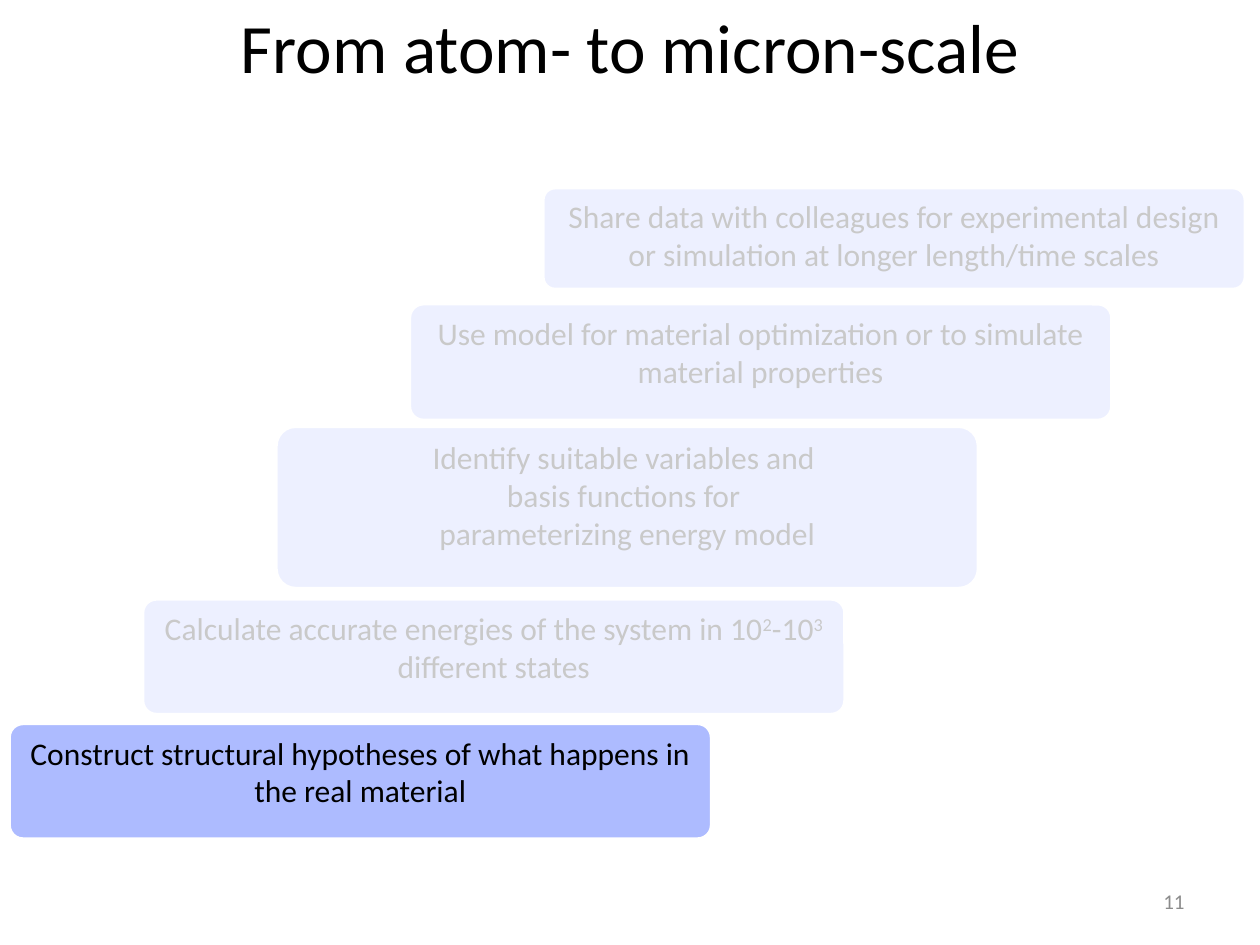
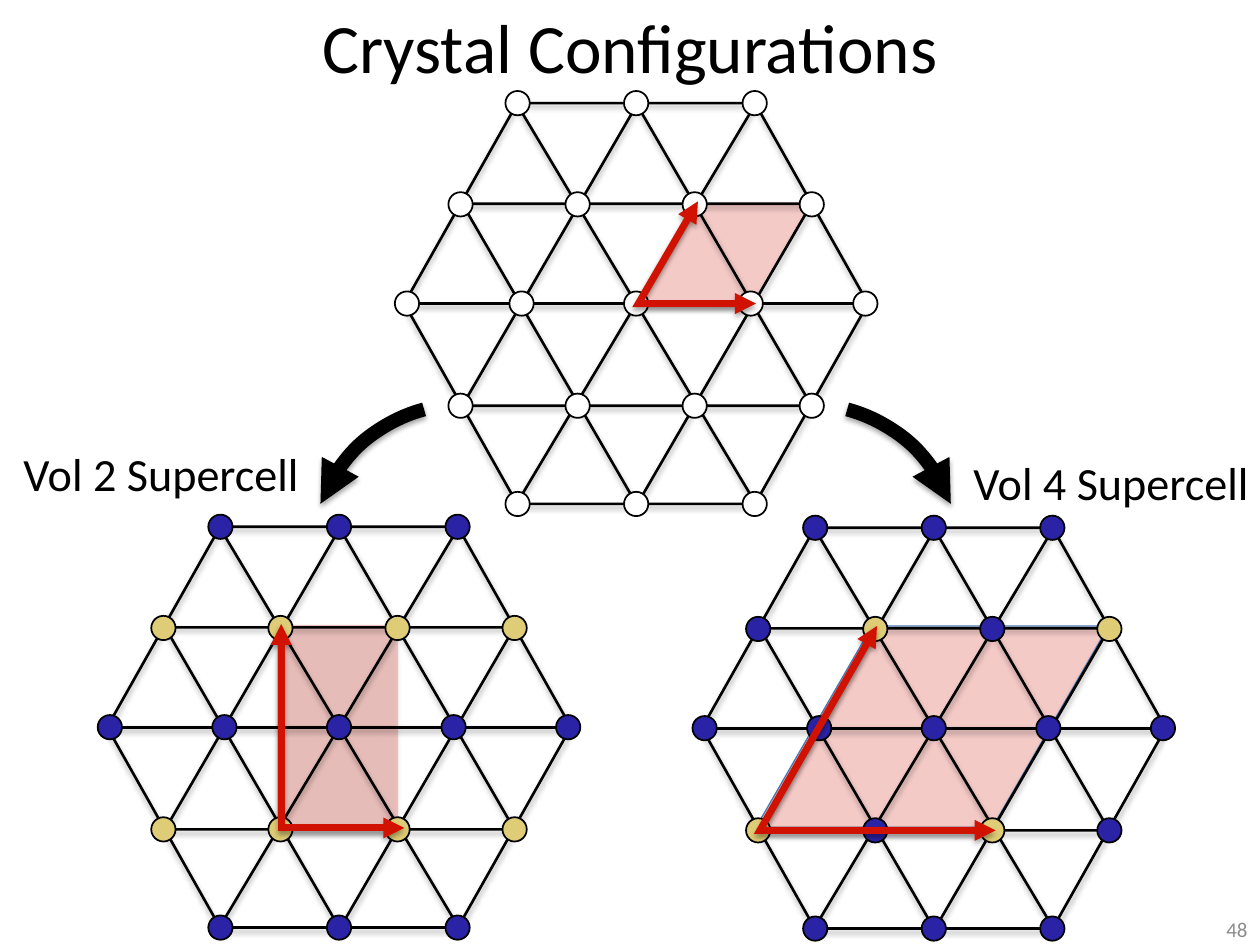
from lxml.etree import SubElement
from pptx import Presentation
from pptx.dml.color import RGBColor
from pptx.enum.shapes import MSO_CONNECTOR, MSO_SHAPE
from pptx.enum.text import MSO_ANCHOR, PP_ALIGN
from pptx.oxml.ns import qn
from pptx.util import Cm, Pt

FONT = "Calibri"
BLACK, WHITE, GREY = "000000", "FFFFFF", "8C8C8C"
STEP_BLUE, CELL_EDGE, RED = "ADBBFF", "4B7EBC", "D11200"
NAVY, GOLD = "2A23A6", "DECC76"

STEP_LEFT, STEP_SHIFT, STEP_WIDTH = 0.18, 2.69, 14.17
STEPS = [
    (14.58, 2.34, "Construct structural hypotheses of what happens in the real material"),
    (12.07, 2.34, "Calculate accurate energies of the system in 10^2^-10^3^ different states"),
    (8.59, 3.28, "Identify suitable variables and \nbasis functions for \nparameterizing energy model"),
    (6.12, 2.36, "Use model for material optimization or to simulate material properties"),
    (3.78, 2.06, "Share data with colleagues for experimental design or simulation at longer length/time scales"),
]

LATTICE_WIDTH, LATTICE_HEIGHT, ATOM_SIZE = 9.35, 8.08, 0.49
ATOM_ROWS = [(0, 3, 2.39), (2.04, 4, 2.36), (4.04, 5, 2.31), (6.1, 4, 2.36), (8.08, 3, 2.39)]


def color(hex_text):
    """Turn a hex string into a colour."""
    return RGBColor.from_string(hex_text)


def lengths(*values):
    """Turn centimetre numbers into lengths."""
    return [Cm(value) for value in values]


def style(shape, fill=None, line=None, weight=1, opacity=100, shadow=False):
    """Set fill, outline and shadow of a shape or connector."""
    properties = shape._element.spPr
    if fill:
        shape.fill.solid()
        shape.fill.fore_color.rgb = color(fill)
        tint = properties.find(qn("a:solidFill")).find(qn("a:srgbClr"))
        if opacity < 100:
            SubElement(tint, qn("a:alpha"), val=str(opacity * 1000))
    elif hasattr(shape, "fill"):
        shape.fill.background()
    if line:
        shape.line.color.rgb = color(line)
        shape.line.width = Pt(weight)
    else:
        shape.line.fill.background()
    effects = SubElement(properties, qn("a:effectLst"))
    if shadow:
        outer = SubElement(effects, qn("a:outerShdw"), blurRad=str(Pt(3.1)),
                           dist=str(Pt(1.8)), dir="5400000", rotWithShape="0")
        tint = SubElement(outer, qn("a:srgbClr"), val=BLACK)
        SubElement(tint, qn("a:alpha"), val="35000")


def add_arrowheads(shape, *ends):
    """Put triangular heads on the named line ends."""
    line = shape.line._get_or_add_ln()
    SubElement(line, qn("a:miter"), lim="800000")
    for end in ends:
        SubElement(line, qn(f"a:{end}"), type="triangle")


def write(box, text, size=18, ink=BLACK, align=PP_ALIGN.CENTER, anchor=MSO_ANCHOR.MIDDLE):
    """Fill a box with one paragraph; carets enclose superscripts."""
    frame = box.text_frame
    frame.word_wrap = True
    frame.vertical_anchor = anchor
    para = frame.paragraphs[0]
    para.alignment = align
    for index, part in enumerate(text.split("^")):
        for number, piece in enumerate(part.split("\n")):
            if number:
                para.add_line_break()
            span = para.add_run()
            span.text = piece
            span.font.name = FONT
            span.font.size = Pt(size)
            span.font.color.rgb = color(ink)
            if index % 2:
                span.font._element.set("baseline", "30000")


def add_text(page, text, box, **text_format):
    """Add a text box at left, top, width, height."""
    write(page.shapes.add_textbox(*lengths(*box)), text, **text_format)


def add_shape(shapes, kind, box, **look):
    """Add a styled preset shape."""
    shape = shapes.add_shape(kind, *lengths(*box))
    style(shape, **look)
    return shape


def add_page(deck, title, number, number_box):
    """Add a blank page with its title and page number."""
    page = deck.slides.add_slide(deck.slide_layouts[6])
    add_text(page, title, (0, 0.05, 25.4, 1.75), size=39.6)
    add_text(page, number, number_box, size=12, ink=GREY, align=PP_ALIGN.RIGHT)
    return page


def add_staircase(page):
    """Draw the rising steps and the veil that fades all but the first."""
    for index, (top, height, text) in enumerate(STEPS):
        box = (STEP_LEFT + index * STEP_SHIFT, top, STEP_WIDTH, height)
        step = add_shape(page.shapes, MSO_SHAPE.ROUNDED_RECTANGLE, box,
                         fill=STEP_BLUE, line=WHITE, weight=2.25)
        step.adjustments[0] = 0.122
        write(step, text, anchor=MSO_ANCHOR.TOP)
    add_shape(page.shapes, MSO_SHAPE.RECTANGLE, (2.06, 2.51, 23.34, 12.07), fill=WHITE, opacity=79)


def add_lattice(page, left, top, atom_fill, gold_atoms=()):
    """Draw a hexagonal lattice of bonds and atoms."""
    shapes = page.shapes.add_group_shape().shapes
    bond = {"line": BLACK, "weight": 1.5, "shadow": True}
    middle = LATTICE_HEIGHT / 2
    for x1, y1, x2, y2 in [(2.26, 0, 7.09, LATTICE_HEIGHT), (7.09, 0, 2.26, LATTICE_HEIGHT),
                           (0, middle, LATTICE_WIDTH, middle)]:
        ends = lengths(left + x1, top + y1, left + x2, top + y2)
        style(shapes.add_connector(MSO_CONNECTOR.STRAIGHT, *ends), **bond)
    hexagon = add_shape(shapes, MSO_SHAPE.HEXAGON, (left, top, LATTICE_WIDTH, LATTICE_HEIGHT), **bond)
    hexagon.adjustments[0] = 0.282
    for offset, flipped in [(0.03, False), (2.03, True)]:
        triangle = add_shape(shapes, MSO_SHAPE.ISOSCELES_TRIANGLE,
                             (left + 1.17, top + offset, 7.04, 6.07), **bond)
        if flipped:
            triangle._element.spPr.xfrm.set("flipV", "1")
    for row, (height, count, pitch) in enumerate(ATOM_ROWS):
        for column in range(count):
            x = left + LATTICE_WIDTH / 2 + (column - (count - 1) / 2) * pitch
            box = (x - ATOM_SIZE / 2, top + height - ATOM_SIZE / 2, ATOM_SIZE, ATOM_SIZE)
            fill = GOLD if (row, column) in gold_atoms else atom_fill
            add_shape(shapes, MSO_SHAPE.OVAL, box, fill=fill, line=BLACK)


def add_cell(page, left, top, kind, box, **look):
    """Shade a unit cell, placed relative to its lattice."""
    x, y, width, height = box
    cell = add_shape(page.shapes, kind, (left + x, top + y, width, height),
                     fill=RED, opacity=22, **look)
    if kind == MSO_SHAPE.PARALLELOGRAM:
        cell.adjustments[0] = 0.577


def add_vectors(page, left, top, points):
    """Draw the two cell vectors as one bent line with two heads."""
    start, *others = [tuple(lengths(left + x, top + y)) for x, y in points]
    builder = page.shapes.build_freeform(*start)
    builder.add_line_segments(others, close=False)
    vectors = builder.convert_to_shape()
    style(vectors, line=RED, weight=4, shadow=True)
    add_arrowheads(vectors, "headEnd", "tailEnd")


def add_configuration(page, left, top, kind, cell_box, cell_look, points, atom_fill, gold_atoms=()):
    """Draw a lattice with its shaded cell and vectors."""
    add_cell(page, left, top, kind, cell_box, **cell_look)
    add_lattice(page, left, top, atom_fill, gold_atoms)
    add_vectors(page, left, top, points)


def add_curved_arrow(page, left, flipped=False):
    """Draw a thick arc that points down to a supercell."""
    arc = add_shape(page.shapes, MSO_SHAPE.ARC, (left, 8.15, 6.15, 6.15),
                    line=BLACK, weight=8, shadow=True)
    arc.adjustments[0], arc.adjustments[1] = 170.98, 203.8
    add_arrowheads(arc, "tailEnd")
    if flipped:
        arc._element.spPr.xfrm.set("flipH", "1")


def build_scale_page(deck):
    """Build the page with the staircase of steps."""
    page = add_page(deck, "From atom- to micron-scale", "11", (18.21, 17.65, 5.92, 1.02))
    add_staircase(page)


def build_crystal_page(deck):
    """Build the page with the primitive cell and two supercells."""
    page = add_page(deck, "Crystal Configurations", "48", (20.12, 18.42, 5.28, 0.63))
    edge = {"line": CELL_EDGE, "weight": 0.75}
    add_configuration(page, 14.15, 10.64, MSO_SHAPE.PARALLELOGRAM, (1.09, 1.98, 7.11, 4.06), edge,
                      [(3.53, 1.98), (1.17, 6.1), (5.92, 6.1)], NAVY,
                      {(1, 1), (1, 3), (3, 0), (3, 2)})
    add_configuration(page, 2.16, 10.62, MSO_SHAPE.RECTANGLE, (3.43, 1.98, 2.44, 4.09),
                      {"shadow": True}, [(3.51, 1.96), (3.51, 6.07), (5.99, 6.07)], NAVY,
                      {(row, column) for row in (1, 3) for column in range(4)})
    add_configuration(page, 8.15, 2.08, MSO_SHAPE.PARALLELOGRAM, (4.75, 2.03, 3.45, 1.98), edge,
                      [(5.92, 1.98), (4.72, 4.04), (7.09, 4.04)], WHITE)
    add_curved_arrow(page, 13.21)
    add_curved_arrow(page, 6.27, flipped=True)
    add_text(page, "Vol 2 Supercell", (0, 8.66, 6.5, 1.75), size=26.4)
    add_text(page, "Vol 4 Supercell", (19.15, 8.84, 6.5, 1.75), size=26.4)


def main():
    """Build and save the deck."""
    deck = Presentation()
    deck.slide_width, deck.slide_height = lengths(25.4, 19.05)
    build_scale_page(deck)
    build_crystal_page(deck)
    deck.save("out.pptx")


if __name__ == "__main__":
    main()
